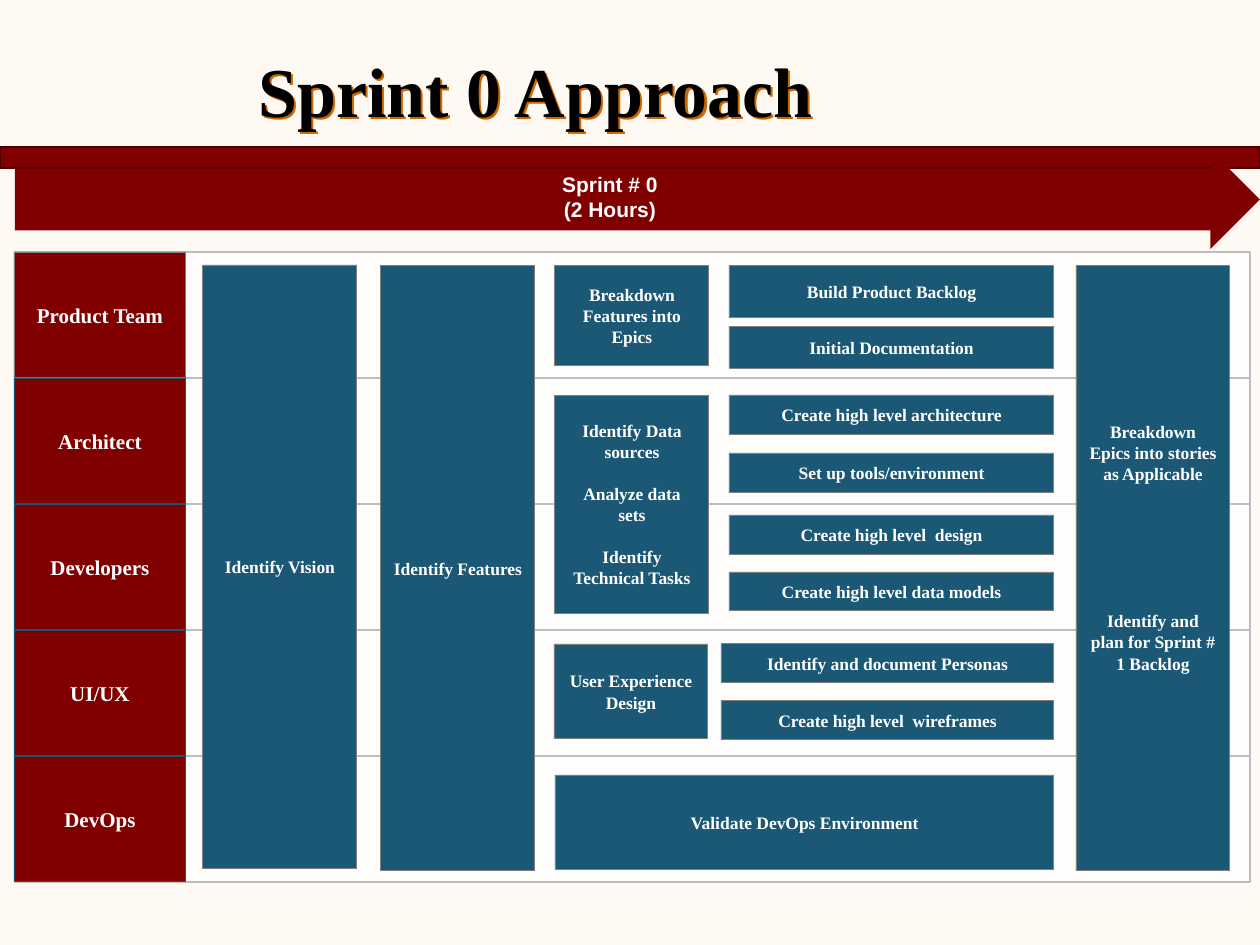
from dataclasses import dataclass
from lxml import etree
from pptx import Presentation
from pptx.dml.color import RGBColor
from pptx.enum.shapes import MSO_SHAPE
from pptx.enum.text import MSO_ANCHOR, PP_ALIGN
from pptx.oxml import parse_xml
from pptx.oxml.ns import nsdecls, qn
from pptx.util import Emu, Pt

RECT, ARROW = MSO_SHAPE.RECTANGLE, MSO_SHAPE.RIGHT_ARROW
MIDDLE, CENTER = MSO_ANCHOR.MIDDLE, PP_ALIGN.CENTER
SCALE = 914400 / 126


@dataclass(frozen=True)
class Theme:
    paper: str = "FFF9F3"
    maroon: str = "800000"
    maroon_edge: str = "4C0000"
    blue: str = "1B5876"
    gray: str = "808080"
    lane: str = "FFFFFF"
    lane_edge: str = "BDBDBD"
    white: str = "FFFFFF"
    black: str = "000000"
    title_shadow: str = "CC6600"
    serif: str = "Times New Roman"
    sans: str = "Arial"
    title_size: int = 40
    label_size: int = 12
    task_size: int = 10


def px(n):
    return Emu(round(n * SCALE))


def rgb(value):
    return RGBColor.from_string(value)


def write(tf, text, size, font, color, gap=0, inset=(13, 6, 13, 6), wrap=True):
    tf.word_wrap = wrap
    tf.vertical_anchor = MIDDLE
    tf.margin_left, tf.margin_top, tf.margin_right, tf.margin_bottom = map(px, inset)
    for i, line in enumerate(text.split("\n")):
        p = tf.paragraphs[0] if i == 0 else tf.add_paragraph()
        p.alignment = CENTER
        if i:
            p.space_before = Pt(gap)
        r = p.add_run()
        r.text = line
        r.font.size, r.font.name, r.font.bold = Pt(size), font, True
        r.font.color.rgb = rgb(color)


class Board:
    def __init__(self, prs, theme):
        self.theme = theme
        self.s = prs.slides.add_slide(prs.slide_layouts[6])
        self.s.background.fill.solid()
        self.s.background.fill.fore_color.rgb = rgb(theme.paper)

    def shape(self, box, fill, edge=None, width=0.5, kind=RECT, alpha=None):
        sp = self.s.shapes.add_shape(kind, *map(px, box))
        sp.shadow.inherit = False
        sp.fill.solid()
        sp.fill.fore_color.rgb = rgb(fill)
        if alpha:
            color = sp.fill._xPr.find(qn("a:solidFill"))[0]
            etree.SubElement(color, qn("a:alpha")).set("val", str(alpha * 1000))
        if edge:
            sp.line.color.rgb = rgb(edge)
            sp.line.width = Pt(width)
        else:
            sp.line.fill.background()
        return sp

    def text(self, box, text, **style):
        sp = self.s.shapes.add_textbox(*map(px, box))
        write(sp.text_frame, text, **style)
        return sp

    def title(self, box, text):
        t = self.theme
        sp = self.text(box, text, size=t.title_size, font=t.serif, color=t.black,
                       inset=(13, 0, 13, 0))
        sp._element.spPr.append(parse_xml(
            f'<a:effectLst {nsdecls("a")}><a:outerShdw dist="22000" dir="2700000">'
            f'<a:srgbClr val="{t.title_shadow}"/></a:outerShdw></a:effectLst>'))

    def lane(self, box):
        self.shape(box, self.theme.lane, self.theme.lane_edge, 1, alpha=77)

    def label(self, box, text, edge):
        t = self.theme
        sp = self.shape(box, t.maroon, edge)
        write(sp.text_frame, text, t.label_size, t.serif, t.white)

    def task(self, box, text, **style):
        t = self.theme
        sp = self.shape(box, t.blue, t.gray)
        write(sp.text_frame, text, t.task_size, t.serif, t.white, **style)

    def arrow(self, box):
        sp = self.shape(box, self.theme.maroon, kind=ARROW)
        sp.adjustments[0], sp.adjustments[1] = 0.624, 0.5


theme = Theme()
prs = Presentation()
prs.slide_width, prs.slide_height = px(1260), px(945)
board = Board(prs, theme)

board.shape((0, 147, 1260, 21), theme.maroon, theme.maroon_edge, 1)
board.title((54, 26, 963, 127), "Sprint 0 Approach")

TEAMS = ["Product Team", "Architect", "Developers", "UI/UX", "DevOps"]
LANE_TOP, LANE_HEIGHT = 252, 126
lane_tops = [LANE_TOP + i * LANE_HEIGHT for i in range(len(TEAMS))]
for top in lane_tops:
    board.lane((15, top, 1235, LANE_HEIGHT))
for top, team in zip(lane_tops, TEAMS):
    edge = theme.gray if top == LANE_TOP else theme.blue
    board.label((14, top, 172, LANE_HEIGHT), team, edge)

COLUMN_WIDTH = 154
COLUMNS = [
    (203, 265, 604, "Identify Vision", {}),
    (381, 266, 605, "Identify Features", {}),
    (1076, 266, 605,
     "Breakdown Epics into stories as Applicable\nIdentify and plan for Sprint # 1 Backlog",
     {"gap": 72, "inset": (13, 6, 13, 48)}),
    (555, 266, 100, "Breakdown Features into Epics", {}),
    (555, 395, 218, "Identify Data sources\nAnalyze data sets\nIdentify Technical Tasks",
     {"gap": 12}),
    (554, 644, 95, "User Experience Design", {}),
]
for left, top, height, text, style in COLUMNS:
    board.task((left, top, COLUMN_WIDTH, height), text, **style)

TASKS_RIGHT = 1054
TASKS = [
    (729, 266, 52, "Build Product Backlog"),
    (729, 326, 42, "Initial Documentation"),
    (729, 395, 40, "Create high level architecture"),
    (729, 453, 40, "Set up tools/environment"),
    (729, 515, 40, "Create high level  design"),
    (729, 572, 39, "Create high level data models"),
    (721, 644, 39, "Identify and document Personas"),
    (721, 701, 39, "Create high level  wireframes"),
    (555, 775, 94, "Validate DevOps Environment"),
]
for left, top, height, text in TASKS:
    board.task((left, top, TASKS_RIGHT - left, height), text)

board.arrow((15, 150, 1245, 99))
board.text((549, 165, 122, 63), "Sprint # 0\n(2 Hours)", size=theme.label_size,
           font=theme.sans, color=theme.white, wrap=False)

prs.save("out.pptx")
